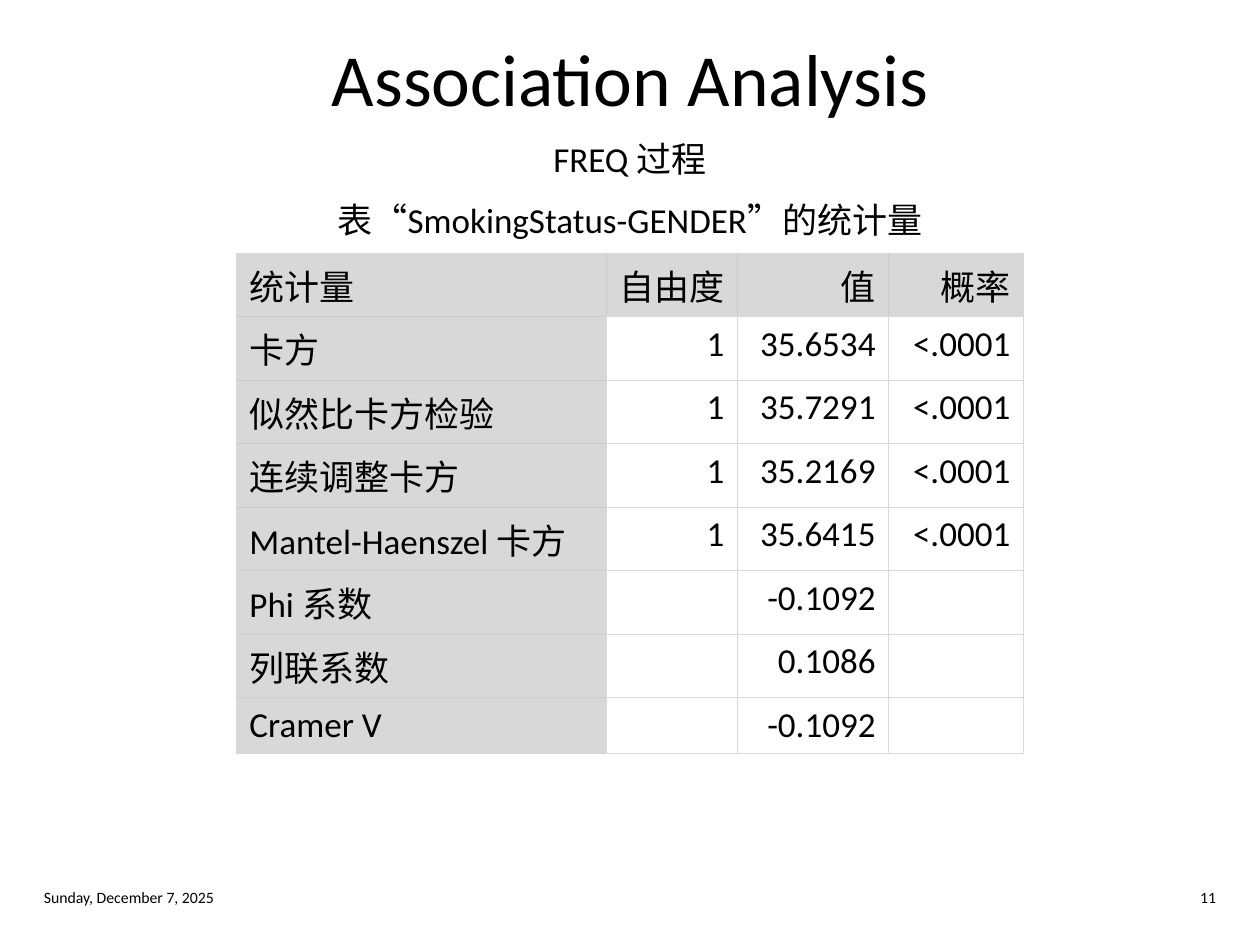
import pptx
import pptx.util
import pptx.dml.color
import pptx.enum.text
import pptx.oxml
import pptx.oxml.ns
from dataclasses import dataclass

Inches = pptx.util.Inches
Pt = pptx.util.Pt
RGB = pptx.dml.color.RGBColor.from_string
ALIGN = pptx.enum.text.PP_ALIGN
ANCHOR = pptx.enum.text.MSO_ANCHOR


@dataclass
class Theme:
    font: str = "Calibri"
    text: str = "000000"
    header: str = "D8D8D8"
    grid: str = "D8D8D8"
    header_grid: str = "CCCCCC"
    title_size: int = 42
    body_size: int = 20
    footer_size: int = 9
    border: float = 0.5


theme = Theme()


def write(tf, text, size=theme.body_size, align=ALIGN.LEFT, anchor=ANCHOR.TOP):
    tf.word_wrap = True
    tf.vertical_anchor = anchor
    p = tf.paragraphs[0]
    p.alignment = align
    r = p.add_run()
    r.text = text
    r.font.name = theme.font
    r.font.size = Pt(size)
    r.font.color.rgb = RGB(theme.text)


def set_border(cell, side, color):
    tcPr = cell._tc.get_or_add_tcPr()
    tcPr.append(pptx.oxml.parse_xml(
        f'<a:{side} {pptx.oxml.ns.nsdecls("a")} w="{Pt(theme.border)}">'
        f'<a:solidFill><a:srgbClr val="{color}"/></a:solidFill></a:{side}>'))


prs = pptx.Presentation()
prs.slide_width = Inches(10)
prs.slide_height = Inches(7.5)
s = prs.slides.add_slide(prs.slide_layouts[5])

title = s.shapes.title
title.left, title.top = Inches(0.25), Inches(0.25)
title.width, title.height = Inches(9.5), Inches(0.72)
write(title.text_frame, "Association Analysis", size=theme.title_size,
      align=ALIGN.CENTER, anchor=ANCHOR.MIDDLE)

caption = dict(align=ALIGN.CENTER)
footer = dict(size=theme.footer_size, anchor=ANCHOR.MIDDLE)
labels = [
    ("FREQ 过程", (0.25, 1.04, 9.5, 0.42), caption),
    ("表“SmokingStatus-GENDER”的统计量", (2.35, 1.53, 5.3, 0.42), caption),
    ("Sunday, December 7, 2025", (0.25, 6.99, 2.38, 0.26), footer),
    ("11", (7.37, 6.99, 2.38, 0.26), dict(footer, align=ALIGN.RIGHT)),
]
for text, box, style in labels:
    sp = s.shapes.add_textbox(*map(Inches, box))
    write(sp.text_frame, text, **style)

rows = [
    ("统计量", "自由度", "值", "概率"),
    ("卡方", "1", "35.6534", "<.0001"),
    ("似然比卡方检验", "1", "35.7291", "<.0001"),
    ("连续调整卡方", "1", "35.2169", "<.0001"),
    ("Mantel-Haenszel 卡方", "1", "35.6415", "<.0001"),
    ("Phi 系数", "", "-0.1092", ""),
    ("列联系数", "", "0.1086", ""),
    ("Cramer V", "", "-0.1092", ""),
]
widths = [2.93, 1.04, 1.2, 1.07]
last_row, last_col = len(rows) - 1, len(widths) - 1
table_top, table_bottom = 2.01, 5.98
last_height = 0.44
row_height = (table_bottom - table_top - last_height) / last_row

frame = s.shapes.add_table(len(rows), len(widths), Inches(1.88), Inches(table_top),
                           Inches(sum(widths)), Inches(table_bottom - table_top))
table = frame.table
table.first_row = False
table.horz_banding = False
for column, width in zip(table.columns, widths):
    column.width = Inches(width)
for row in table.rows:
    row.height = Inches(row_height)
table.rows[last_row].height = Inches(last_height)

for i, values in enumerate(rows):
    for j, value in enumerate(values):
        cell = table.cell(i, j)
        is_header = i == 0 or j == 0
        if value:
            write(cell.text_frame, value, align=ALIGN.RIGHT if j else ALIGN.LEFT)
        cell.vertical_anchor = ANCHOR.TOP if i else ANCHOR.BOTTOM
        outer = {"lnL": j == 0, "lnR": j == last_col,
                 "lnT": i == 0, "lnB": i == last_row}
        for side, is_outer in outer.items():
            inner_header = is_header and not is_outer
            set_border(cell, side, theme.header_grid if inner_header else theme.grid)
        if is_header:
            cell.fill.solid()
            cell.fill.fore_color.rgb = RGB(theme.header)
        else:
            cell.fill.background()

prs.save("out.pptx")
